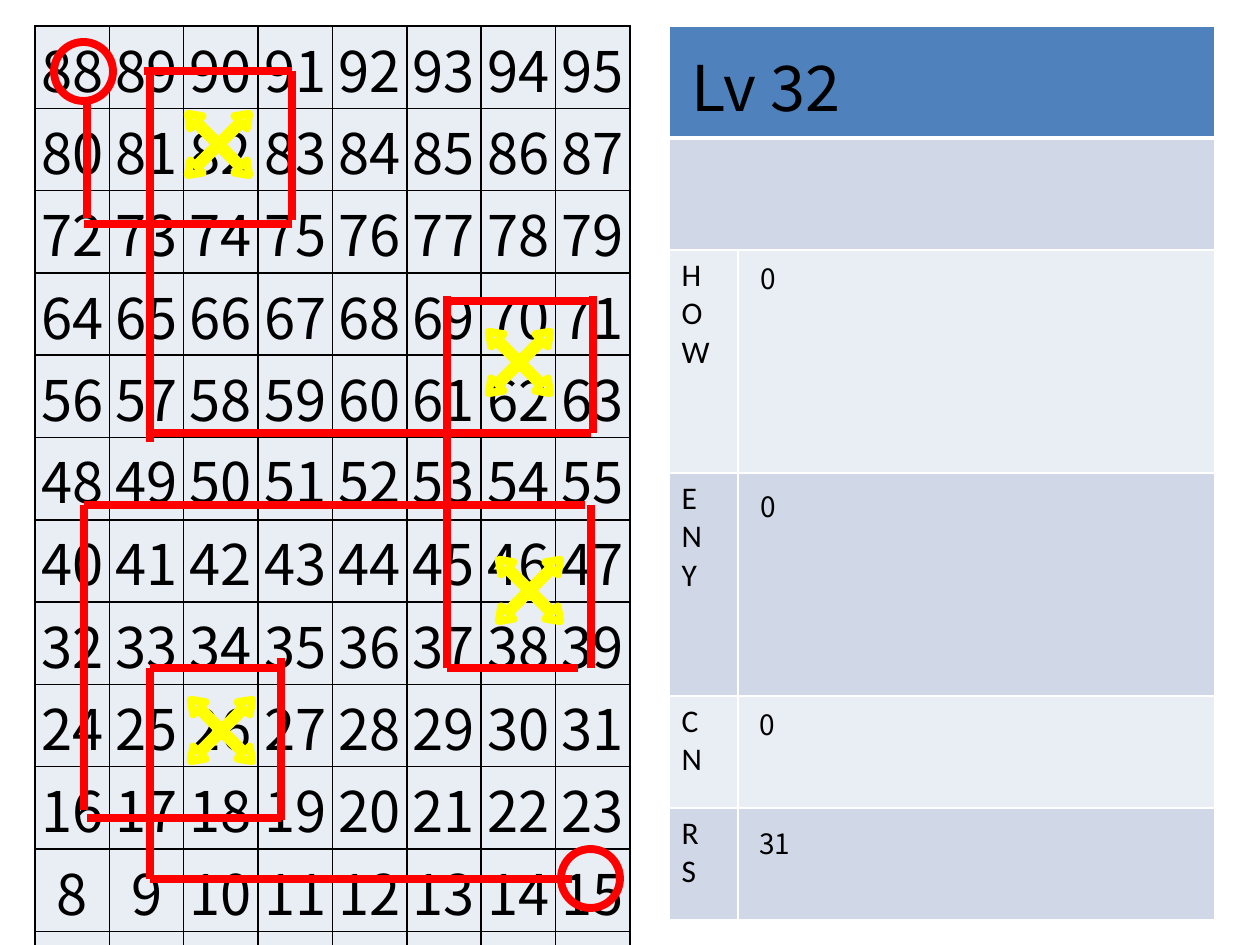
"""Build the Lv 32 number board slide with its red route and side table."""
from lxml import etree
from pptx import Presentation, util as u
from pptx.dml.color import RGBColor
from pptx.enum import shapes, text
from pptx.oxml import ns

SCALE = 914400 / 126
BLACK = RGBColor(0, 0, 0)
WHITE = RGBColor(255, 255, 255)
RED = RGBColor(255, 0, 0)
YELLOW = RGBColor(255, 255, 0)
BLUE = RGBColor(0x4F, 0x81, 0xBD)
DARK = RGBColor(0xD0, 0xD8, 0xE8)
LIGHT = RGBColor(0xE9, 0xED, 0xF4)
NOTO = "Noto Sans CJK SC"

CELL = {"margin_left": 1, "margin_right": 1, "margin_top": 1, "margin_bottom": 0}
LABELS = ["", "", "H\vO\vW", "E\vN\vY", "C\vN", "R\vS"]
FILLS = [BLUE, DARK, LIGHT, DARK, LIGHT, DARK]
HEIGHTS = [112, 112, 223, 223, 112, 112]
VALUES = [("0", 748, 255, 42), ("0", 748, 483, 42),
          ("0", 747, 701, 42), ("31", 747, 820, 58)]
RINGS = [(54, 42), (561, 849)]
CROSSES = [(175, 101), (476, 319), (486, 547), (178, 687)]
ROUTE = [
    (87, 101, 87, 218), (84, 224, 292, 224), (292, 71, 292, 220),
    (144, 71, 292, 71), (150, 71, 150, 442), (150, 433, 591, 433),
    (84, 505, 585, 505), (447, 296, 447, 668), (447, 301, 591, 301),
    (593, 296, 593, 433), (591, 505, 591, 668), (447, 668, 578, 668),
    (84, 505, 84, 810), (150, 879, 572, 879), (87, 818, 281, 818),
    (150, 668, 280, 668), (281, 658, 281, 820), (150, 668, 150, 879),
]


def px(n):
    return u.Emu(round(n * SCALE))


def put(obj, form):
    for key, val in form.items():
        setattr(obj, key, val)


def write(frame, words, size, face, align=text.PP_ALIGN.LEFT):
    frame.text = words
    for para in frame.paragraphs:
        para.alignment = align
        for run in para.runs:
            put(run.font, {"size": u.Pt(size), "name": face})
            run.font.color.rgb = BLACK


def paint(cell, fill, edge, **wide):
    props = cell._tc.get_or_add_tcPr()
    for side in "LRTB":
        line = etree.SubElement(props, ns.qn("a:ln" + side), w=str(u.Pt(wide.get(side, 1))))
        solid = etree.SubElement(line, ns.qn("a:solidFill"))
        etree.SubElement(solid, ns.qn("a:srgbClr"), val=str(edge))
    cell.fill.solid()
    cell.fill.fore_color.rgb = fill


def add_grid(slide, spot, cols, rows):
    grid = slide.shapes.add_table(len(rows), len(cols), *map(px, spot)).table
    for col, wide in zip(grid.columns, cols):
        col.width = px(wide)
    for row, high in zip(grid.rows, rows):
        row.height = px(high)
    return grid


def add_board(slide):
    grid = add_grid(slide, (35, 26, 595, 893), [595 / 8] * 8, [893 / 12] * 12)
    for r in range(12):
        for c in range(8):
            cell = grid.cell(r, c)
            put(cell, {key: px(n) for key, n in CELL.items()})
            cell.vertical_anchor = text.MSO_ANCHOR.MIDDLE
            write(cell.text_frame, str(88 - 8 * r + c), 32, NOTO, text.PP_ALIGN.CENTER)
            paint(cell, LIGHT, BLACK)


def add_notes(slide):
    grid = add_grid(slide, (669, 26, 546, 893), [69, 477], HEIGHTS)
    for r, (label, fill) in enumerate(zip(LABELS, FILLS)):
        rule = {0: {"B": 3}, 1: {"T": 3}}.get(r, {})
        for c in range(2):
            paint(grid.cell(r, c), fill, WHITE, **rule)
        if label:
            write(grid.cell(r, 0).text_frame, label, 18, "Calibri")
        else:
            grid.cell(r, 0).merge(grid.cell(r, 1))


def fit(shape, words, size):
    frame = shape.text_frame
    put(frame, {"word_wrap": False, "vertical_anchor": text.MSO_ANCHOR.TOP,
                "auto_size": text.MSO_AUTO_SIZE.SHAPE_TO_FIT_TEXT})
    write(frame, words, size, NOTO)


def add_title(slide):
    title = slide.shapes.title
    spot = {"left": 679, "top": 42, "width": 181, "height": 89}
    put(title, {key: px(n) for key, n in spot.items()})
    fit(title, "Lv 32", 36)
    title.element.getparent().append(title.element)


def add_mark(slide, kind, x, y, size, color):
    mark = slide.shapes.add_shape(kind, px(x), px(y), px(size), px(size))
    mark.shadow.inherit = False
    mark.fill.background()
    mark.line.color.rgb = color
    mark.line.width = u.Pt(4.5)
    return mark


def add_cross(slide, x, y):
    cross = add_mark(slide, shapes.MSO_SHAPE.QUAD_ARROW, x, y, 87, YELLOW)
    cross.rotation = 45
    for i, n in enumerate((0.05, 0.1, 0.14)):
        cross.adjustments[i] = n


def add_line(slide, ends):
    line = slide.shapes.add_connector(shapes.MSO_CONNECTOR.STRAIGHT, *map(px, ends))
    line.line.color.rgb = RED
    line.line.width = u.Pt(4.5)
    etree.SubElement(line.element.spPr, ns.qn("a:effectLst"))


def main():
    deck = Presentation()
    put(deck, {"slide_width": u.Inches(10), "slide_height": u.Inches(7.5)})
    slide = deck.slides.add_slide(deck.slide_layouts[5])
    add_board(slide)
    add_notes(slide)
    add_title(slide)
    for words, x, y, wide in VALUES:
        fit(slide.shapes.add_textbox(px(x), px(y), px(wide), px(47)), words, 16)
    for x, y in RINGS:
        add_mark(slide, shapes.MSO_SHAPE.OVAL, x, y, 59, RED)
    for ends in ROUTE:
        add_line(slide, ends)
    for x, y in CROSSES:
        add_cross(slide, x, y)
    deck.save("out.pptx")


if __name__ == "__main__":
    main()
